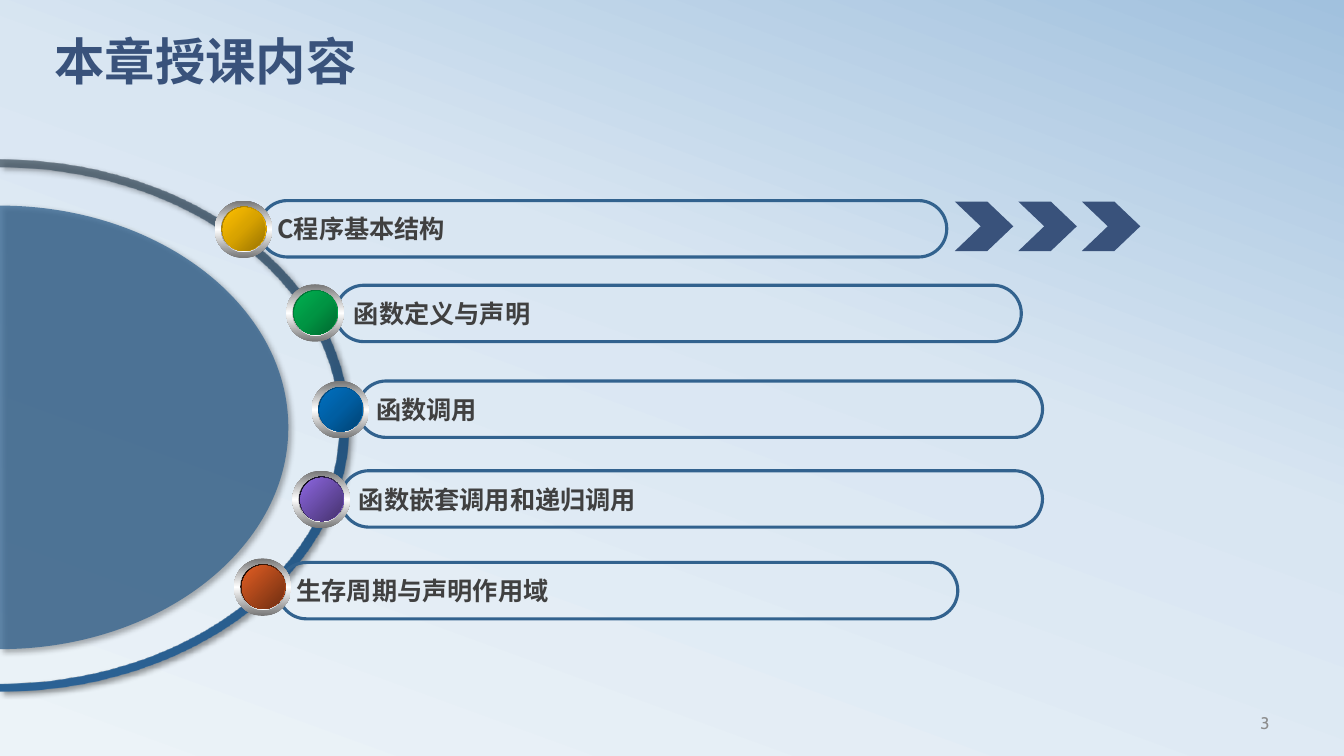
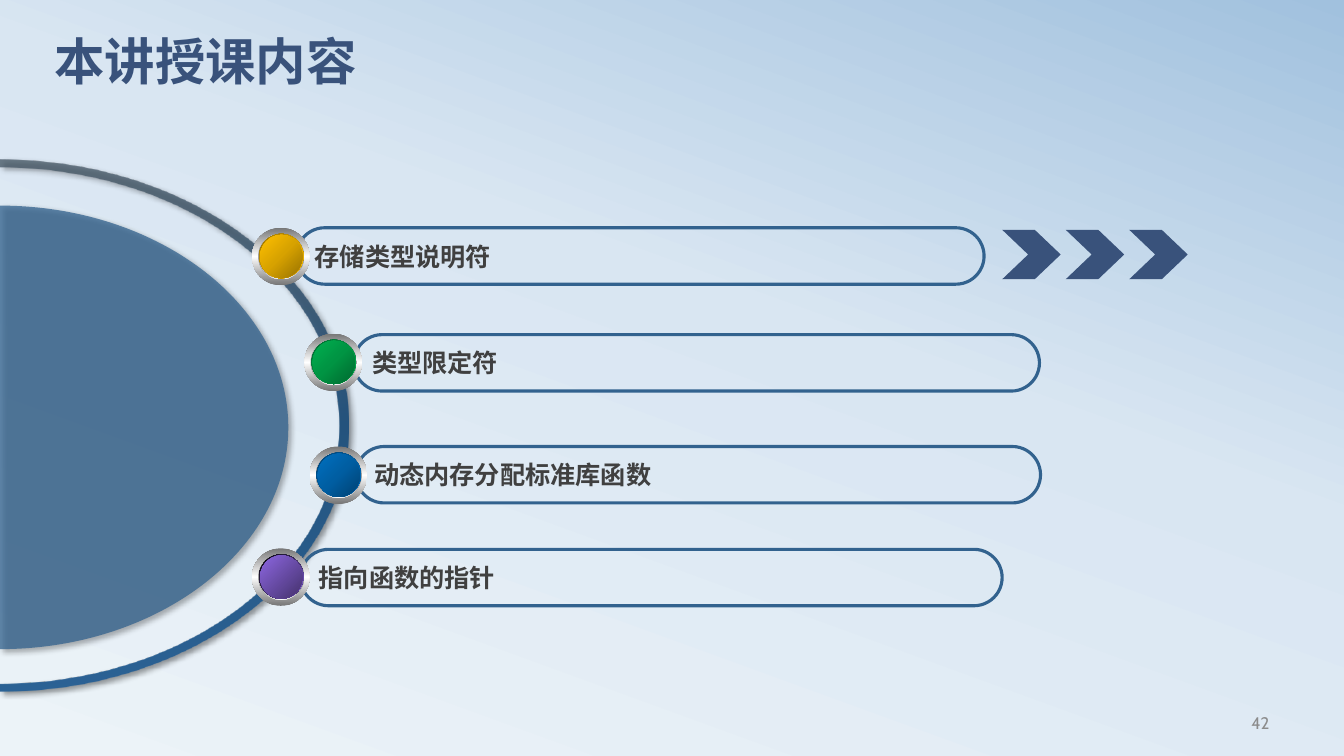
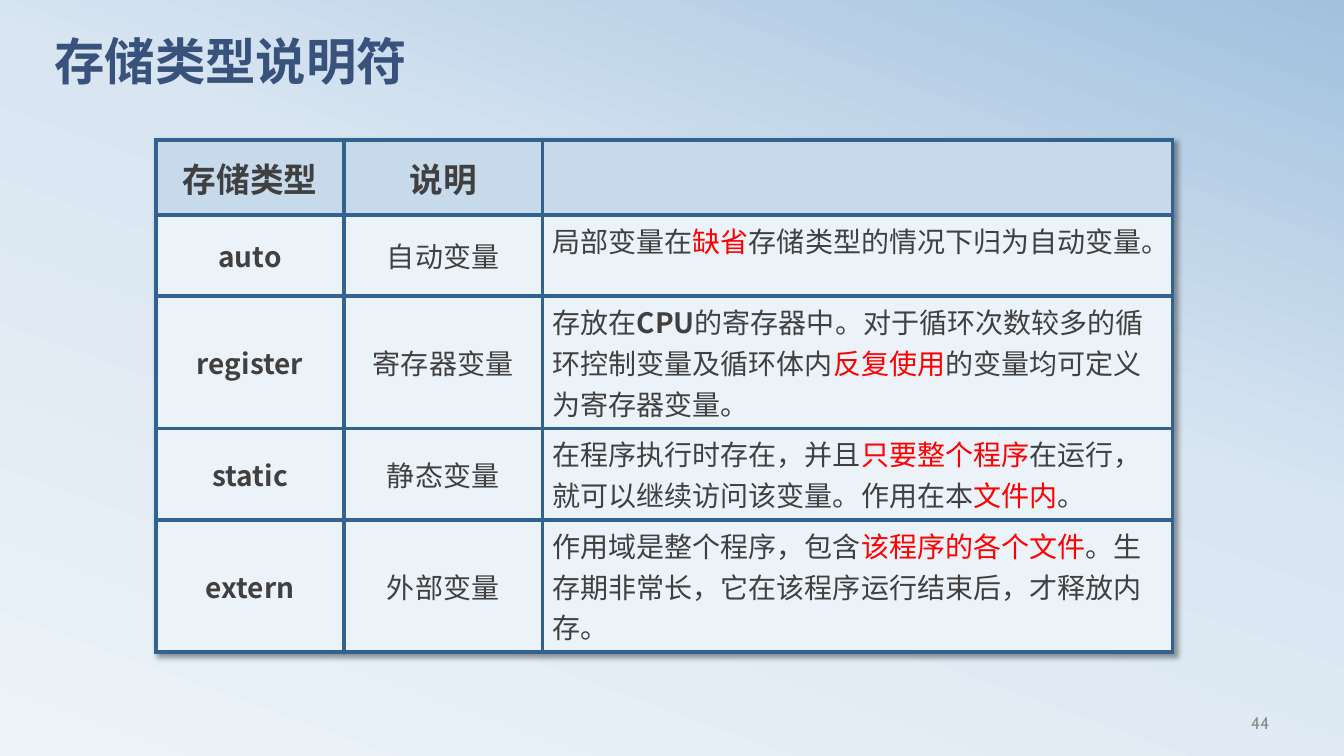
from lxml import etree
from pptx import Presentation
from pptx.dml.color import RGBColor
from pptx.enum.shapes import MSO_SHAPE
from pptx.enum.text import MSO_ANCHOR, PP_ALIGN
from pptx.oxml.ns import qn
from pptx.util import Inches, Pt

ROUNDED, ELLIPSE, CHEVRON = MSO_SHAPE.ROUNDED_RECTANGLE, MSO_SHAPE.OVAL, MSO_SHAPE.CHEVRON
TOP, MIDDLE = MSO_ANCHOR.TOP, MSO_ANCHOR.MIDDLE
LEFT, CENTER, RIGHT = PP_ALIGN.LEFT, PP_ALIGN.CENTER, PP_ALIGN.RIGHT

LATIN_FONT, CHINESE_FONT = "Cabin", "Noto Sans CJK SC"
CURVE_RATIO = 0.55


def rgb(value):
    return RGBColor.from_string(value)


NAVY, BLUE = rgb("39527B"), rgb("32628E")
TEXT, GRAY, RED = rgb("404040"), rgb("8C8C8C"), rgb("FF0000")
HEADER_FILL, BODY_FILL = rgb("C7DAEB"), rgb("ECF3F8")
BLACK, WHITE = rgb("000000"), rgb("FFFFFF")
STEEL, SILVER = rgb("767676"), rgb("A2A2A2")

BACKGROUND = [(0, BODY_FILL), (58, rgb("D9E6F2")), (100, rgb("A1C1DE"))]
ARC = [(0, rgb("445462"), 75), (50, rgb("24537D")), (100, rgb("2B6295"))]
OUTER_RING = [(0, STEEL), (50, WHITE), (100, STEEL)]
INNER_RING = [(0, SILVER), (50, WHITE), (100, SILVER)]


def radial_button(dark, middle, light):
    stops = [(0, rgb(dark)), (50, rgb(middle)), (100, rgb(light))]
    return stops, stops, None


def linear_button(light, dark):
    return [(0, BLACK), (100, rgb(light))], [(0, rgb(light)), (100, rgb(dark))], 45


YELLOW_BUTTON = radial_button("977200", "D7A200", "FFC000")
GREEN_BUTTON = radial_button("00682F", "009443", "00B050")
BLUE_BUTTON = radial_button("004272", "005EA2", "0070C0")
PURPLE_BUTTON = linear_button("8D67E1", "45326D")
ORANGE_BUTTON = linear_button("E35E23", "6E2E11")

AGENDAS = [
    {
        "title": "本章授课内容", "number": "3", "chevrons": (9.47, 2),
        "items": [
            ("C程序基本结构", (2.57, 1.99, 6.82), (2.13, 1.99), YELLOW_BUTTON),
            ("函数定义与声明", (3.33, 2.83, 6.8), (2.84, 2.82), GREEN_BUTTON),
            ("函数调用", (3.55, 3.78, 6.79), (3.09, 3.78), BLUE_BUTTON),
            ("函数嵌套调用和递归调用", (3.38, 4.67, 6.96), (2.9, 4.67), PURPLE_BUTTON),
            ("生存周期与声明作用域", (2.76, 5.58, 6.74), (2.32, 5.54), ORANGE_BUTTON),
        ],
    },
    {
        "title": "本讲授课内容", "number": "42", "chevrons": (9.94, 2.28),
        "items": [
            ("存储类型说明符", (2.94, 2.26, 6.82), (2.5, 2.26), YELLOW_BUTTON),
            ("类型限定符", (3.51, 3.32, 6.8), (3.02, 3.31), GREEN_BUTTON),
            ("动态内存分配标准库函数", (3.53, 4.43, 6.79), (3.07, 4.43), BLUE_BUTTON),
            ("指向函数的指针", (2.98, 5.45, 6.96), (2.5, 5.44), PURPLE_BUTTON),
        ],
    },
]

PLAIN, STRONG, ALERT = (TEXT, False), (TEXT, True), (RED, False)
TABLE_TITLE, TABLE_NUMBER = "存储类型说明符", "44"
TABLE_HEADER = ("存储类型", "说明", "")
TABLE_ROWS = [
    ("auto", "自动变量", [
        ("局部变量在", PLAIN), ("缺省", ALERT), ("存储类型的情况下归为自动变量。", PLAIN)]),
    ("register", "寄存器变量", [
        ("存放在", PLAIN), ("CPU", STRONG),
        ("的寄存器中。对于循环次数较多的循环控制变量及循环体内", PLAIN),
        ("反复使用", ALERT), ("的变量均可定义为寄存器变量。", PLAIN)]),
    ("static", "静态变量", [
        ("在程序执行时存在，并且", PLAIN), ("只要整个程序", ALERT),
        ("在运行，就可以继续访问该变量。作用在本", PLAIN), ("文件内", ALERT), ("。", PLAIN)]),
    ("extern", "外部变量", [
        ("作用域是整个程序，包含", PLAIN), ("该程序的各个文件", ALERT),
        ("。生存期非常长，它在该程序运行结束后，才释放内存。", PLAIN)]),
]
COLUMN_WIDTHS = (1.86, 1.97, 6.25)
ROW_HEIGHTS = (0.74, 0.81, 1.31, 0.91, 1.31)


def add_element(parent, tag, **attributes):
    values = {name: str(value) for name, value in attributes.items()}
    return etree.SubElement(parent, qn(tag), values)


def add_color(parent, color, opacity=100):
    element = add_element(parent, "a:srgbClr", val=color)
    if opacity < 100:
        add_element(element, "a:alpha", val=opacity * 1000)


def fill_gradient(fill, owner, stops, angle):
    fill.gradient()
    gradient = owner.find(".//" + qn("a:gradFill"))
    for child in list(gradient):
        gradient.remove(child)
    stop_list = add_element(gradient, "a:gsLst")
    for position, *color in stops:
        add_color(add_element(stop_list, "a:gs", pos=position * 1000), *color)
    if angle is None:
        circle = add_element(gradient, "a:path", path="circle")
        add_element(circle, "a:fillToRect", l=100000, t=100000)
    else:
        add_element(gradient, "a:lin", ang=angle * 60000, scaled=0)


def add_shadow(effects):
    shadow = add_element(effects, "a:outerShdw", blurRad=Pt(4), dist=Pt(3),
                         dir=45 * 60000, algn="tl", rotWithShape=0)
    add_color(shadow, BLACK, 40)


def add_run(paragraph, text, size, color, bold, font=CHINESE_FONT):
    run = paragraph.add_run()
    run.text = text
    run.font.size = Pt(size)
    run.font.bold = bold
    run.font.color.rgb = color
    run.font.name = font
    add_element(run.font._element, "a:ea", typeface=CHINESE_FONT)


def add_text_box(slide, box, text, size, color, bold, alignment, anchor):
    frame = slide.shapes.add_textbox(*map(Inches, box)).text_frame
    frame.word_wrap = True
    frame.vertical_anchor = anchor
    paragraph = frame.paragraphs[0]
    paragraph.alignment = alignment
    add_run(paragraph, text, size, color, bold, LATIN_FONT)
    return paragraph


def add_slide(presentation, title, number):
    slide = presentation.slides.add_slide(presentation.slide_layouts[6])
    heading = add_text_box(slide, (0.44, 0.37, 12, 0.94), title, 36, NAVY, True, LEFT, TOP)
    heading.line_spacing = 0.8
    add_text_box(slide, (9.58, 6.97, 3.11, 0.4), number, 12, GRAY, False, RIGHT, MIDDLE)
    return slide


def add_plain_shape(slide, kind, left, top, width, height):
    shape = slide.shapes.add_shape(kind, *map(Inches, (left, top, width, height)))
    shape.shadow.inherit = False
    shape.line.fill.background()
    return shape


def half_ellipse(center_y, radius_x, radius_y):
    return [(0, Inches(center_y - radius_y)), (Inches(radius_x), Inches(center_y)),
            (0, Inches(center_y + radius_y))]


def quarter_curve(start, end):
    (x1, y1), (x2, y2) = start, end
    across, down = (x2 - x1) * CURVE_RATIO, (y2 - y1) * CURVE_RATIO
    if x1 == 0:
        return (x1 + across, y1), (x2, y2 - down), end
    return (x1, y1 + down), (x2 - across, y2), end


def add_outline(slide, points):
    builder = slide.shapes.build_freeform(*points[0])
    builder.add_line_segments(points[1:], close=True)
    shape = builder.convert_to_shape()
    segments = shape._element.findall(".//" + qn("a:lnTo"))
    for segment, start, end in zip(segments, points, points[1:]):
        if start[0] == end[0]:
            continue
        curve = etree.Element(qn("a:cubicBezTo"))
        for x, y in quarter_curve(start, end):
            add_element(curve, "a:pt", x=round(x), y=round(y - points[0][1]))
        segment.getparent().replace(segment, curve)
    shape.line.fill.background()
    shape.shadow.inherit = False
    add_shadow(shape._element.spPr.find(qn("a:effectLst")))
    return shape


def add_dial(slide):
    outer = half_ellipse(4.22, 3.46, 2.64)
    inner = half_ellipse(4.22, 3.36, 2.56)
    arc = add_outline(slide, outer + inner[::-1])
    fill_gradient(arc.fill, arc._element, ARC, 90)
    disc = add_outline(slide, half_ellipse(4.24, 2.86, 2.2))
    disc.fill.solid()
    disc.fill.fore_color.rgb = BLUE
    color = disc._element.spPr.find(qn("a:solidFill"))[0]
    add_element(color, "a:alpha", val=75000)


def add_bar(slide, text, left, top, width):
    bar = add_plain_shape(slide, ROUNDED, left, top, width, 0.56)
    bar.adjustments[0] = 0.5
    bar.fill.background()
    bar.line.color.rgb = BLUE
    bar.line.width = Pt(2.25)
    frame = bar.text_frame
    frame.word_wrap = True
    frame.vertical_anchor = MIDDLE
    frame.paragraphs[0].alignment = LEFT
    add_run(frame.paragraphs[0], text, 18, TEXT, True)


def add_button(slide, left, top, style):
    rim, face, face_angle = style
    layers = [
        (0, 0, 0.57, 0.57, OUTER_RING, 90),
        (0.06, 0.06, 0.46, 0.45, INNER_RING, 0),
        (0.07, 0.06, 0.44, 0.44, rim, 45),
        (0.08, 0.07, 0.42, 0.43, face, face_angle),
    ]
    for shift_x, shift_y, width, height, stops, angle in layers:
        layer = add_plain_shape(slide, ELLIPSE, left + shift_x, top + shift_y, width, height)
        fill_gradient(layer.fill, layer._element, stops, angle)


def add_chevrons(slide, left, top):
    for index in range(3):
        chevron = add_plain_shape(slide, CHEVRON, left + 0.63 * index, top, 0.58, 0.49)
        chevron.adjustments[0] = 0.525
        chevron.fill.solid()
        chevron.fill.fore_color.rgb = NAVY


def add_agenda(presentation, agenda):
    slide = add_slide(presentation, agenda["title"], agenda["number"])
    add_dial(slide)
    for text, bar, button, style in agenda["items"]:
        add_bar(slide, text, *bar)
        add_button(slide, *button, style)
    add_chevrons(slide, *agenda["chevrons"])


def fill_cell(cell, segments, size, fill, alignment, anchor):
    properties = cell._tc.get_or_add_tcPr()
    for side in ("a:lnL", "a:lnR", "a:lnT", "a:lnB"):
        border = add_element(properties, side, w=Pt(3))
        add_color(add_element(border, "a:solidFill"), BLUE)
    cell.fill.solid()
    cell.fill.fore_color.rgb = fill
    cell.vertical_anchor = anchor
    paragraph = cell.text_frame.paragraphs[0]
    paragraph.alignment = alignment
    for text, (color, bold) in segments:
        add_run(paragraph, text, size, color, bold)


def add_storage_table(presentation):
    slide = add_slide(presentation, TABLE_TITLE, TABLE_NUMBER)
    box = (1.55, 1.39, sum(COLUMN_WIDTHS), sum(ROW_HEIGHTS))
    table = slide.shapes.add_table(
        len(ROW_HEIGHTS), len(COLUMN_WIDTHS), *map(Inches, box)).table
    table.horz_banding = False
    effects = etree.Element(qn("a:effectLst"))
    add_shadow(effects)
    table._tbl.tblPr.insert(0, effects)
    for column, width in zip(table.columns, COLUMN_WIDTHS):
        column.width = Inches(width)
    for row, height in zip(table.rows, ROW_HEIGHTS):
        row.height = Inches(height)
    for column, text in enumerate(TABLE_HEADER):
        segments = [(text, STRONG)] if text else []
        fill_cell(table.cell(0, column), segments, 24, HEADER_FILL, CENTER, MIDDLE)
    for row, (keyword, meaning, description) in enumerate(TABLE_ROWS, 1):
        contents = [
            ([(keyword, STRONG)], CENTER, MIDDLE),
            ([(meaning, PLAIN)], CENTER, MIDDLE),
            (description, LEFT, TOP),
        ]
        for column, (segments, alignment, anchor) in enumerate(contents):
            fill_cell(table.cell(row, column), segments, 20, BODY_FILL, alignment, anchor)


def main():
    presentation = Presentation()
    presentation.slide_width, presentation.slide_height = Inches(13.33), Inches(7.5)
    master = presentation.slide_master
    fill_gradient(master.background.fill, master._element, BACKGROUND, 290)
    for agenda in AGENDAS:
        add_agenda(presentation, agenda)
    add_storage_table(presentation)
    presentation.save("out.pptx")


if __name__ == "__main__":
    main()
